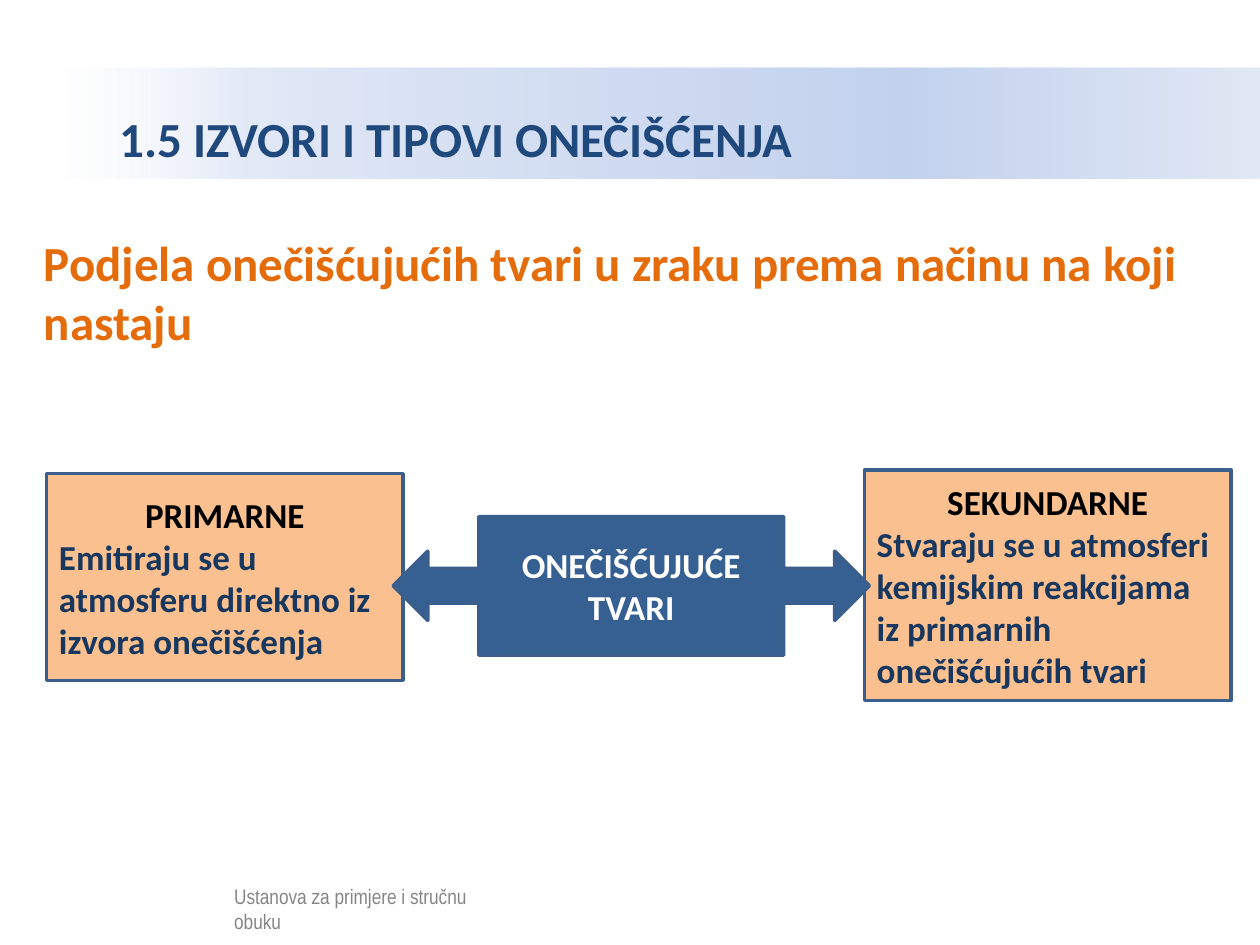
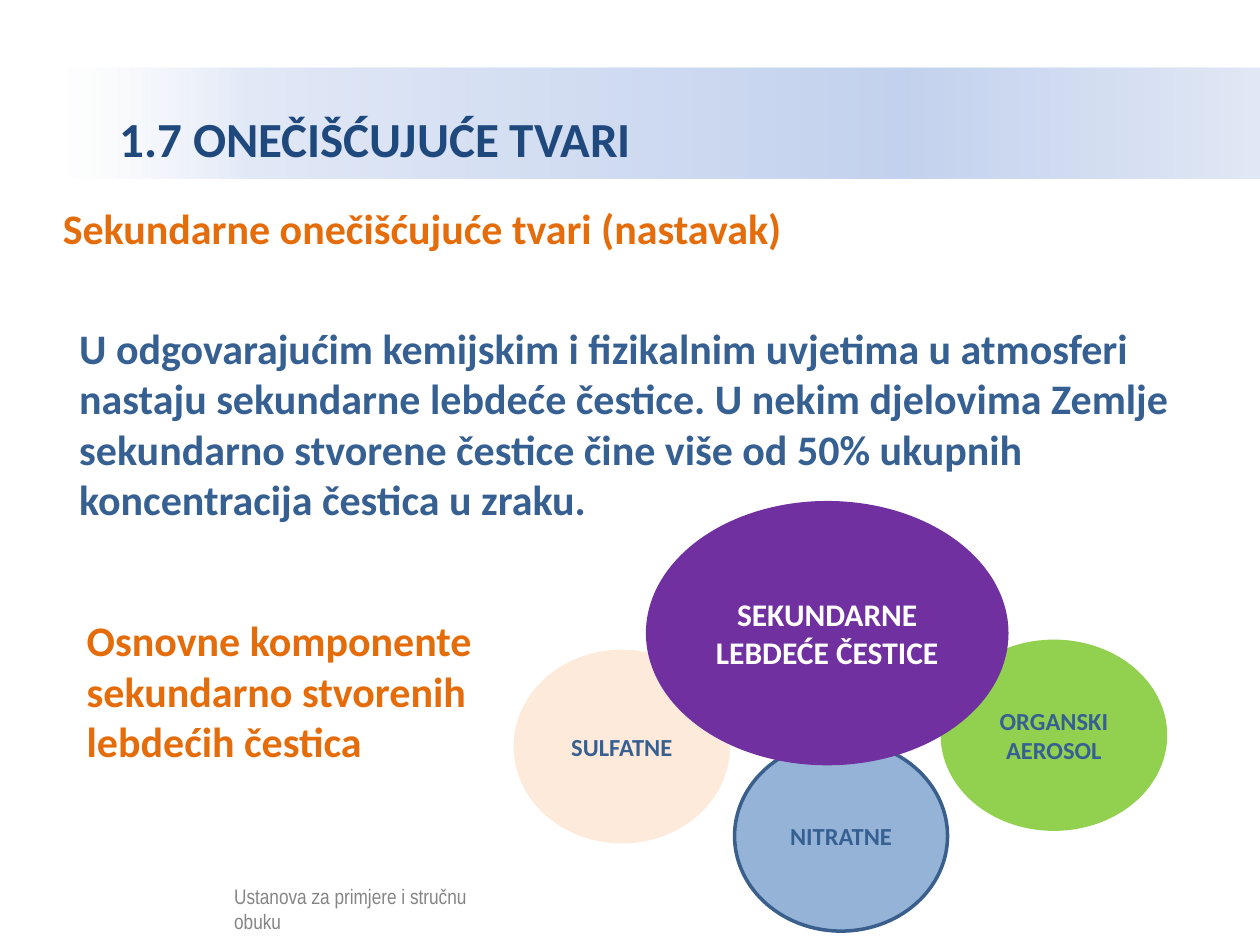
"""Build two slides on the sources and types of air pollutants."""
from lxml.etree import SubElement
from pptx import Presentation
from pptx.dml.color import RGBColor
from pptx.enum.shapes import MSO_SHAPE
from pptx.enum.text import MSO_ANCHOR, PP_ALIGN
from pptx.oxml.ns import qn
from pptx.util import Inches, Pt


class Theme:
    font, small = "Calibri", "Arial Narrow"
    head, lead, body, item, label, foot = 28, 24, 20, 18, 14, 12
    white, black = "FFFFFF", "000000"
    title, navy, blue, edge = "1F497D", "17375E", "376092", "3A5F8C"
    orange, peach, cream = "E46C0A", "FAC090", "FDEADA"
    green, sky, purple = "92D050", "95B3D7", "7030A0"
    band = [(0, "FFFFFF"), (16, "E1E8F6"), (70, "C2D1ED"), (100, "E1E8F5")]
    clear = "52000"


def write(shape, lines, font=Theme.font, bold=True):
    """Fill a shape with (text, size, colour, alignment) lines."""
    frame = shape.text_frame
    frame.word_wrap = True
    for i, (text, size, color, align) in enumerate(lines):
        para = frame.paragraphs[0] if i == 0 else frame.add_paragraph()
        para.text = text
        para.alignment = align
        para.font.name, para.font.size, para.font.bold = font, Pt(size), bold
        para.font.color.rgb = RGBColor.from_string(color)


def draw(slide, kind, at, fill, edge, lines):
    """Add a filled shape, outlined where an edge colour is given."""
    shape = slide.shapes.add_shape(kind, *map(Inches, at))
    shape.shadow.inherit = False
    shape.fill.solid()
    shape.fill.fore_color.rgb = RGBColor.from_string(fill)
    if edge:
        shape.line.color.rgb = RGBColor.from_string(edge)
        shape.line.width = Pt(2)
    else:
        shape.line.fill.background()
    shape.text_frame.vertical_anchor = MSO_ANCHOR.MIDDLE
    write(shape, lines)
    return shape


LEFT, MID = PP_ALIGN.LEFT, PP_ALIGN.CENTER
deck = Presentation()
deck.slide_width, deck.slide_height = Inches(10), Inches(7.5)

pages = []
for name in ("1.5 IZVORI I TIPOVI ONEČIŠĆENJA", "1.7 ONEČIŠĆUJUĆE TVARI"):
    slide = deck.slides.add_slide(deck.slide_layouts[5])
    pages.append(slide)

    title = slide.shapes.title
    title.left, title.top = Inches(0.5), Inches(0.54)
    title.width, title.height = Inches(9.5), Inches(0.88)
    write(title, [(name, Theme.head, Theme.title, LEFT)])
    title.text_frame.margin_left = Inches(0.45)
    title.text_frame.vertical_anchor = MSO_ANCHOR.MIDDLE
    title.text_frame.paragraphs[0].line_spacing = 1.5
    title.fill.gradient()
    title.fill.gradient_angle = 0
    stops = title.element.spPr.find(".//" + qn("a:gsLst"))
    for stop in list(stops):
        stops.remove(stop)
    for place, color in Theme.band:
        stop = SubElement(stops, qn("a:gs"), pos=str(place * 1000))
        tint = SubElement(stop, qn("a:srgbClr"), val=color)
        if place == 0:
            SubElement(tint, qn("a:alpha"), val=Theme.clear)

    foot = slide.shapes.add_textbox(*map(Inches, (1.76, 6.96, 2.09, 0.25)))
    write(foot, [("Ustanova za primjere i stručnu obuku",
                  Theme.foot, Theme.black, LEFT)], Theme.small, False)
    veil = draw(slide, MSO_SHAPE.RECTANGLE, (0.41, 6.93, 3.82, 0.48),
                Theme.white, None, [])
    tint = veil.element.spPr.find(".//" + qn("a:srgbClr"))
    SubElement(tint, qn("a:alpha"), val=Theme.clear)

types, matter = pages
notes = [
    (types, (0.25, 1.8, 9.37, 1.04), Theme.head, Theme.orange,
     "Podjela onečišćujućih tvari u zraku prema načinu na koji nastaju"),
    (matter, (0.4, 1.56, 9.43, 0.5), Theme.lead, Theme.orange,
     "Sekundarne onečišćujuće tvari (nastavak)"),
    (matter, (0.53, 2.51, 9.08, 1.72), Theme.lead, Theme.blue,
     "U odgovarajućim kemijskim i fizikalnim uvjetima u atmosferi nastaju "
     "sekundarne lebdeće čestice. U nekim djelovima Zemlje sekundarno "
     "stvorene čestice čine više od 50% ukupnih koncentracija čestica u zraku."),
    (matter, (0.59, 4.83, 3.46, 1.72), Theme.lead, Theme.orange,
     "Osnovne komponente sekundarno stvorenih lebdećih čestica"),
]
for slide, at, size, color, text in notes:
    note = slide.shapes.add_textbox(*map(Inches, at))
    write(note, [(text, size, color, LEFT)])

boxes = [
    ((6.86, 3.73, 2.91, 1.83), "SEKUNDARNE",
     "Stvaraju se u atmosferi kemijskim reakcijama iz primarnih "
     "onečišćujućih tvari"),
    ((0.37, 3.76, 2.83, 1.64), "PRIMARNE",
     "Emitiraju se u atmosferu direktno iz izvora onečišćenja"),
]
for at, head, text in boxes:
    draw(types, MSO_SHAPE.RECTANGLE, at, Theme.peach, Theme.edge,
         [(head, Theme.body, Theme.black, MID),
          (text, Theme.body, Theme.navy, LEFT)])

hub = draw(types, MSO_SHAPE.LEFT_RIGHT_ARROW_CALLOUT, (3.12, 4.1, 3.78, 1.1),
           Theme.blue, Theme.edge,
           [("ONEČIŠĆUJUĆE TVARI", Theme.body, Theme.white, MID)])
for i, value in enumerate((0.25, 0.25, 0.25, 0.64)):
    hub.adjustments[i] = value

ovals = [
    ((4.09, 5.17, 1.69, 1.51), Theme.cream, Theme.cream,
     "SULFATNE", Theme.label, Theme.blue),
    ((7.48, 5.09, 1.77, 1.49), Theme.green, Theme.green,
     "ORGANSKI AEROSOL", Theme.label, Theme.blue),
    ((5.83, 5.88, 1.69, 1.51), Theme.sky, Theme.edge,
     "NITRATNE", Theme.label, Theme.blue),
    ((5.14, 3.99, 2.85, 2.07), Theme.purple, Theme.purple,
     "SEKUNDARNE LEBDEĆE ČESTICE", Theme.item, Theme.white),
]
for at, fill, edge, text, size, color in ovals:
    draw(matter, MSO_SHAPE.OVAL, at, fill, edge, [(text, size, color, MID)])

deck.save("out.pptx")
